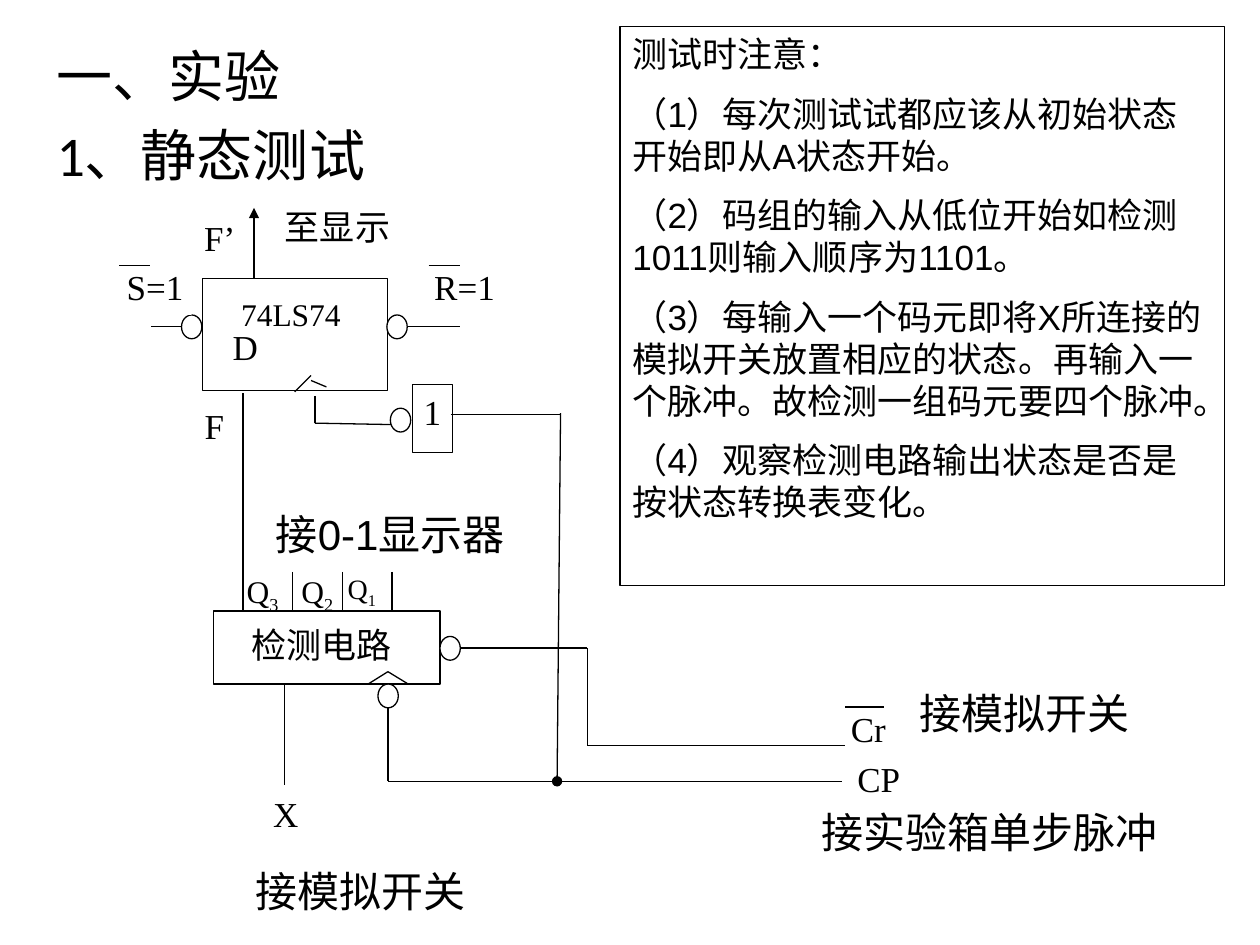
from dataclasses import dataclass

from lxml.etree import SubElement
from pptx import Presentation
from pptx.dml.color import RGBColor
from pptx.enum.shapes import MSO_CONNECTOR as Connector, MSO_SHAPE as Preset
from pptx.enum.text import MSO_ANCHOR as Anchor, PP_ALIGN as Align
from pptx.oxml.ns import qn
from pptx.util import Cm, Pt


@dataclass(frozen=True)
class Theme:
    ink: RGBColor = RGBColor(0, 0, 0)
    paper: RGBColor = RGBColor(255, 255, 255)
    title_font: str = "Calibri"
    note_font: str = "Arial"
    pin_font: str = "Times New Roman"
    title_size: int = 32
    caption_size: int = 24
    body_size: int = 20
    small_size: int = 18
    tiny_size: int = 16
    line_width: float = 0.75


THEME = Theme()


class Region:
    def __init__(self, slide, left, top, width, height):
        self.shapes = slide.shapes
        self.left, self.top = left, top
        self.width, self.height = width, height

    def place(self, x, y, width, height):
        return Cm(self.left + x), Cm(self.top + y), Cm(width), Cm(height)

    def outline(self, preset, x, y, width, height, line=THEME.ink, filled=True):
        shape = self.shapes.add_shape(preset, *self.place(x, y, width, height))
        shape.shadow.inherit = False
        if filled:
            shape.fill.solid()
            shape.fill.fore_color.rgb = THEME.paper
        else:
            shape.fill.background()
        shape.line.color.rgb = line
        shape.line.width = Pt(THEME.line_width)
        return shape

    def block(self, x, y, width, height):
        return self.outline(Preset.RECTANGLE, x, y, width, height)

    def bubble(self, x, y):
        return self.outline(Preset.OVAL, x, y, 0.41, 0.48)

    def label(self, text, x, y, width, height=0.86, size=THEME.body_size):
        shape = self.outline(Preset.RECTANGLE, x, y, width, height, THEME.paper)
        write(shape, [text], THEME.pin_font, size, Align.CENTER, (0, 0))

    def caption(self, text, x, y, width):
        box = self.shapes.add_textbox(*self.place(x, y, width, 1.27))
        write(box, [text], THEME.note_font, THEME.caption_size)

    def wire(self, *points, tail=None):
        for start, end in zip(points, points[1:]):
            ends = [Cm(self.left + start[0]), Cm(self.top + start[1]),
                    Cm(self.left + end[0]), Cm(self.top + end[1])]
            connector = self.shapes.add_connector(Connector.STRAIGHT, *ends)
            connector.line.color.rgb = THEME.ink
            connector.line.width = Pt(THEME.line_width)
            properties = connector._element.spPr
            if tail:
                SubElement(properties.find(qn("a:ln")), qn("a:tailEnd"), type=tail)
            SubElement(properties, qn("a:effectLst"))


def style(paragraph, font, size, align):
    paragraph.alignment = align
    paragraph.font.name = font
    paragraph.font.size = Pt(size)
    paragraph.font.color.rgb = THEME.ink


def write(shape, texts, font, size, align=Align.LEFT, inset=(0.25, 0.13), gap=0):
    frame = shape.text_frame
    frame.word_wrap = True
    frame.vertical_anchor = Anchor.TOP
    frame.margin_left = frame.margin_right = Cm(inset[0])
    frame.margin_top = frame.margin_bottom = Cm(inset[1])
    for index, text in enumerate(texts):
        paragraph = frame.add_paragraph() if index else frame.paragraphs[0]
        paragraph.text = text
        style(paragraph, font, size, align)
        if index:
            paragraph.space_before = Pt(gap)


def add_title(region):
    box = region.shapes.add_textbox(*region.place(0, 0, region.width, region.height))
    write(box, ["一、实验", "1、静态测试"], THEME.title_font, THEME.title_size, gap=6.4)


def add_notes(region):
    frame = region.outline(Preset.RECTANGLE, 0, 0, region.width, region.height, filled=False)
    notes = [
        "测试时注意：",
        "（1）每次测试试都应该从初始状态开始即从A状态开始。",
        "（2）码组的输入从低位开始如检测1011则输入顺序为1101。",
        "（3）每输入一个码元即将X所连接的模拟开关放置相应的状态。"
        "再输入一个脉冲。故检测一组码元要四个脉冲。",
        "（4）观察检测电路输出状态是否是按状态转换表变化。",
    ]
    write(frame, notes, THEME.note_font, THEME.body_size, gap=10)


def add_flip_flop(region):
    region.label("F’", 1.56, 0.27, 0.94, 0.97)
    flip_flop = region.block(1.69, 1.51, 3.73, 2.26)
    write(flip_flop, ["D"], THEME.pin_font, THEME.body_size, inset=(0.6, 0.95))
    region.label("74LS74", 2.22, 1.84, 2.49, 0.61, THEME.small_size)
    region.label("F", 1.49, 4.05, 0.86)
    region.label("至显示", 2.93, 0.04, 2.95)
    region.wire((2.72, 1.51), (2.72, 0.09), tail="triangle")
    region.wire((3.87, 3.47), (3.54, 3.8))
    region.wire((3.87, 3.57), (4.18, 3.7))
    region.wire((3.95, 3.88), (3.95, 4.43), (5.5, 4.46))

    inverter = region.block(5.91, 3.65, 0.81, 1.37)
    write(inverter, ["1"], THEME.pin_font, THEME.body_size, Align.CENTER, (0, 0.13))
    for x, y in [(5.47, 4.13), (1.26, 2.25), (5.4, 2.25)]:
        region.bubble(x, y)
    for name, x in [("S=1", 0), ("R=1", 6.24)]:
        region.label(name, x, 1.26, 1.45, 0.97)
        region.wire((x, 1.26), (x + 0.63, 1.26))
    region.wire((1.26, 2.48), (0.65, 2.48))
    region.wire((5.83, 2.48), (6.87, 2.48))


def add_detector(region):
    region.block(0, 2.22, 4.57, 1.47)
    region.label("检测电路", 0.42, 2.47, 3.53, 0.99)
    region.wire((3.12, 3.69), (3.52, 3.44), (3.93, 3.69))
    region.bubble(4.57, 2.73)
    region.bubble(3.32, 3.69)
    region.wire((1.44, 3.69), (1.44, 5.72))
    region.label("X", 1.03, 5.88, 0.86)

    region.wire((0.6, 2.22), (0.6, -2.18))
    outputs = [("3", 0.79, THEME.small_size), ("2", 0.99, THEME.small_size),
               ("1", 0.79, THEME.tiny_size)]
    for index, (digit, width, size) in enumerate(outputs):
        x = 0.6 + index
        region.wire((x + 1, 1.43), (x + 1, 2.22))
        box = region.shapes.add_textbox(*region.place(x, 1.43, width, 0.8))
        write(box, ["Q"], THEME.pin_font, size, Align.CENTER, (0, 0))
        subscript = box.text_frame.paragraphs[0].add_run()
        subscript.text = digit
        subscript._r.get_or_add_rPr().set("baseline", "-25000")
    region.caption("接0-1显示器", 1.01, 0.03, 5.79)
    region.caption("接模拟开关", 0.6, 7.22, 6.2)


def add_control_lines(region):
    region.label("Cr", 9.17, 5.97, 1.07)
    region.label("CP", 9.37, 6.97, 1.09)
    region.wire((1.29, 0.06), (3.5, 0.06))
    region.wire((3.5, 0.03), (3.43, 7.45), tail="oval")
    region.wire((0.02, 5.97), (0.02, 7.45), (9.17, 7.45))
    region.wire((1.47, 4.76), (4.04, 4.76), (4.04, 6.73), (9.24, 6.73))
    region.wire((9.24, 5.95), (10.03, 5.95))
    region.caption("接实验箱单步脉冲", 8.51, 7.83, 8.41)
    region.caption("接模拟开关", 10.49, 5.42, 6.2)


def main():
    presentation = Presentation()
    presentation.slide_width, presentation.slide_height = Cm(25.4), Cm(19.05)
    slide = presentation.slides.add_slide(presentation.slide_layouts[6])
    add_title(Region(slide, 0.89, 0.71, 11.5, 3.4))
    add_flip_flop(Region(slide, 2.4, 4.1, 7.7, 5.1))
    add_detector(Region(slide, 4.3, 10.1, 6.8, 8.5))
    add_control_lines(Region(slide, 7.8, 8.3, 16.9, 9.1))
    add_notes(Region(slide, 12.5, 0.53, 12.19, 11.28))
    presentation.save("out.pptx")


if __name__ == "__main__":
    main()
